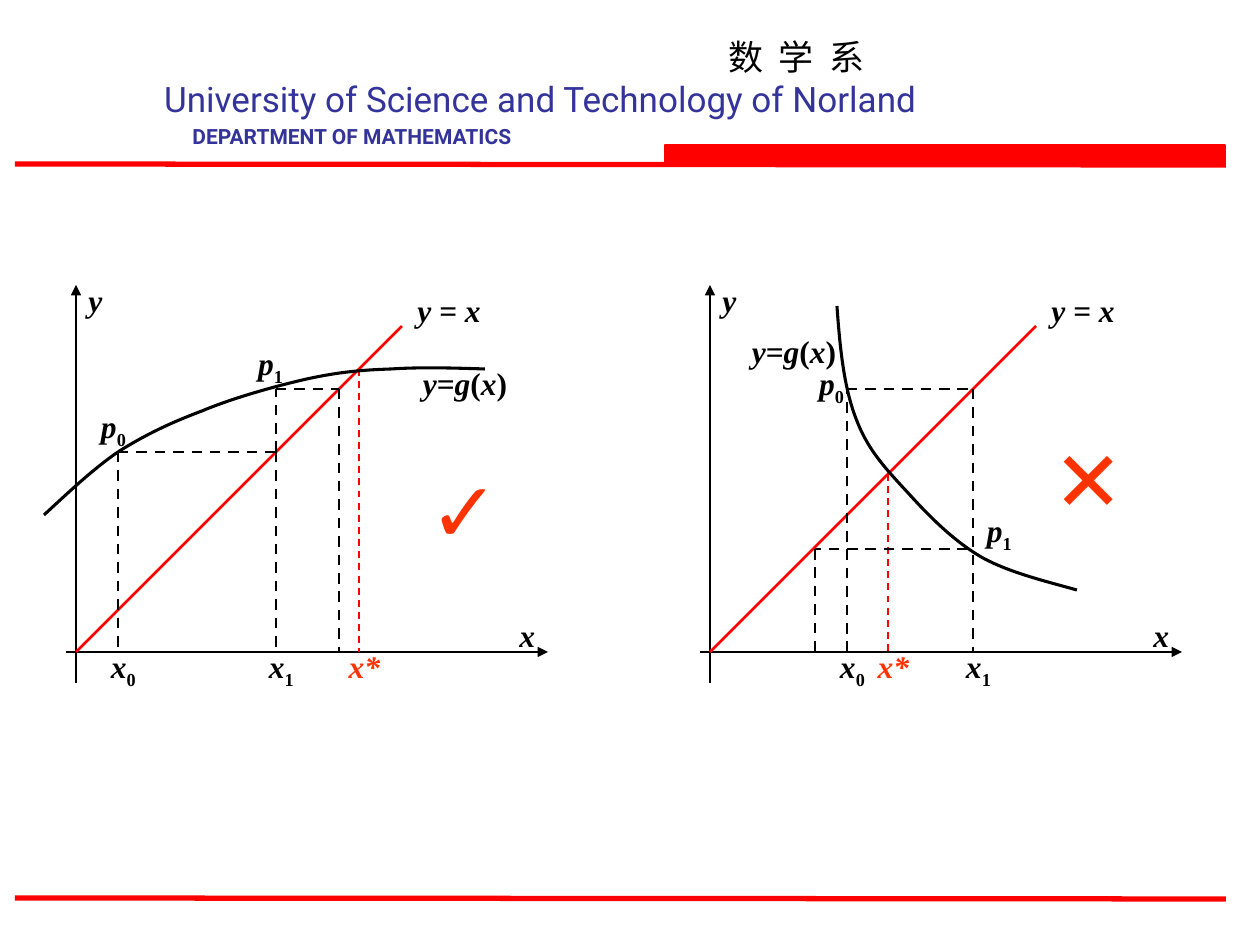
import pptx
import pptx.dml.color
import pptx.enum.dml
import pptx.enum.shapes
import pptx.enum.text
import pptx.oxml
import pptx.oxml.ns
import pptx.util

SCALE = 914400 / 126
RED, BLACK, BLUE, ORANGE = "FF0000", "000000", "333399", "FF3300"
SERIF = "Times New Roman"
ALIGN = pptx.enum.text.PP_ALIGN
BASE = 367


def px(length):
    """Turn a length in px into EMU."""
    return pptx.util.Emu(round(length * SCALE))


def colour(value):
    """Turn a hex string into a colour."""
    return pptx.dml.color.RGBColor.from_string(value)


def add_child(parent, tag):
    """Append an empty drawing element to a parent and return it."""
    child = pptx.oxml.parse_xml(f"<{tag} {pptx.oxml.ns.nsdecls('a')}/>")
    parent.append(child)
    return child


def add_line(page, box, start, end, ink=BLACK, width=1.5, dashed=False, arrow=False):
    """Draw a straight line between two points of a box."""
    left, top = box
    line = page.shapes.add_connector(
        pptx.enum.shapes.MSO_CONNECTOR.STRAIGHT,
        px(left + start[0]), px(top + start[1]), px(left + end[0]), px(top + end[1]))
    line.line.color.rgb = colour(ink)
    line.line.width = pptx.util.Pt(width)
    if dashed:
        line.line.dash_style = pptx.enum.dml.MSO_LINE.DASH
    if arrow:
        add_child(line.line._get_or_add_ln(), "a:tailEnd").set("type", "triangle")
    add_child(line._element.spPr, "a:effectLst")


def add_text(page, box, place, spans, ink=BLACK, size=18, font=SERIF, bold=True,
             align=ALIGN.CENTER, wrap=True):
    """Write spans of (text, style) in one paragraph and return its runs."""
    left, top, width, height = place
    label = page.shapes.add_textbox(px(box[0] + left), px(box[1] + top), px(width), px(height))
    label.text_frame.word_wrap = wrap
    para = label.text_frame.paragraphs[0]
    para.alignment = align
    for text, style in spans:
        span = para.add_run()
        span.text = text
        span.font.name = font
        span.font.size = pptx.util.Pt(size)
        span.font.bold = bold
        span.font.italic = style == "italic"
        span.font.color.rgb = colour(ink)
        if style == "sub":
            span.font._element.set("baseline", "-25000")
    return para.runs


def add_curve(page, box, points):
    """Draw a chain of Bézier segments from a start and triples of points."""
    places = [(px(box[0] + x), px(box[1] + y)) for x, y in points]
    builder = page.shapes.build_freeform(*places[0])
    builder.add_line_segments(places[1:], close=False)
    curve = builder.convert_to_shape()
    curve.shadow.inherit = False
    curve.fill.background()
    curve.line.color.rgb = colour(BLACK)
    curve.line.width = pptx.util.Pt(1.75)
    steps = curve._element.xpath(".//a:lnTo")
    outline = steps[0].getparent()
    for first in range(0, len(steps), 3):
        bezier = add_child(outline, "a:cubicBezTo")
        for step in steps[first:first + 3]:
            bezier.append(step[0])
            outline.remove(step)


def draw_header(page, box):
    """Place the department titles, the rule and the bar."""
    title = add_text(page, box, (641, 0, 281, 55), [("数 学 系", "")],
                     size=20, font="Noto Sans CJK SC", bold=False, wrap=False)[0]
    title.font._element.set("spc", "225")
    add_child(title.font._element, "a:ea").set("typeface", "Noto Sans CJK SC")
    add_text(page, box, (77, 42, 897, 55),
             [("University of Science and Technology of Norland", "")],
             ink=BLUE, size=20, font="Roboto", bold=False, wrap=False)
    add_text(page, box, (165, 88, 397, 38), [("DEPARTMENT OF MATHEMATICS", "")],
             ink=BLUE, size=12, font="Roboto", align=ALIGN.LEFT, wrap=False)
    add_line(page, box, (0, 135), (1211, 136), RED, 3)
    bar = page.shapes.add_shape(pptx.enum.shapes.MSO_SHAPE.RECTANGLE,
                                px(box[0] + 650), px(box[1] + 116), px(560), px(19))
    bar.shadow.inherit = False
    bar.fill.solid()
    bar.fill.fore_color.rgb = colour(RED)
    bar.line.color.rgb = colour(RED)
    bar.line.width = pptx.util.Pt(0.75)


def draw_axes(page, box):
    """Draw the axes and the line y = x with their labels."""
    add_line(page, box, (0, BASE), (482, BASE), width=1, arrow=True)
    add_line(page, box, (10, 398), (10, 0), width=1, arrow=True)
    add_text(page, box, (441, 325, 42, 50), [("x", "italic")], align=ALIGN.LEFT)
    add_text(page, box, (10, -10, 42, 50), [("y", "italic")], align=ALIGN.LEFT)
    add_line(page, box, (10, BASE), (336, 41), RED)
    add_text(page, box, (336, 0, 94, 50), [("y = x", "italic")])


def draw_iteration(page, box, curve, root, curve_label, ticks, points, dashes, mark):
    """Draw one fixed-point iteration graph in a box."""
    draw_axes(page, box)
    add_line(page, box, root, (root[0], BASE), RED, 1, dashed=True)
    add_text(page, box, (root[0] - 31, 356, 73, 50), [("x*", "italic")], ink=ORANGE)
    add_curve(page, box, curve)
    add_text(page, box, (*curve_label, 126, 50),
             [("y=g", "italic"), ("(", ""), ("x", "italic"), (")", "")])
    for start, end in dashes:
        add_line(page, box, start, end, dashed=True)
    for index, (tick, point) in enumerate(zip(ticks, points)):
        for name, place in (("x", (tick - 21, 356)), ("p", point)):
            add_text(page, box, (*place, 53, 55), [(name, "italic"), (str(index), "sub")])
    symbol, left, top, bold = mark
    add_text(page, box, (left, top, 126, 113), [(symbol, "")], ink=ORANGE, size=48,
             font="Arial", bold=bold)


def main():
    """Build the slide and save the deck."""
    deck = pptx.Presentation()
    deck.slide_width, deck.slide_height = px(1260), px(945)
    page = deck.slides.add_slide(deck.slide_layouts[6])
    draw_header(page, (15, 29))
    add_line(page, (15, 898), (0, 0), (1211, 1), RED, 3)
    draw_iteration(
        page, (66, 285),
        curve=[(-22, 230), (2, 208), (26, 185), (52, 167), (79, 150), (104, 138),
               (136, 126), (167, 113), (210, 101), (241, 94), (273, 87), (296, 85),
               (325, 84), (355, 82), (388, 83), (419, 84)],
        root=(293, 84), curve_label=(336, 73), ticks=(52, 210),
        points=((21, 116), (178, 53)),
        dashes=[((52, 167), (52, BASE)), ((52, 167), (210, 167)),
                ((210, 167), (210, BASE)), ((210, 167), (210, 104)),
                ((210, 104), (273, 104)), ((273, 104), (273, BASE))],
        mark=("✓", 336, 167, True))
    draw_iteration(
        page, (700, 285),
        curve=[(137, 21), (140, 63), (144, 104), (157, 136), (169, 167), (188, 186),
               (210, 210), (231, 233), (255, 257), (283, 273), (311, 288), (345, 296),
               (377, 305)],
        root=(188, 189), curve_label=(31, 41), ticks=(147, 273),
        points=((105, 73), (273, 220)),
        dashes=[((147, 104), (273, 104)), ((147, BASE), (147, 104)),
                ((273, 104), (273, BASE)), ((268, 264), (115, 264)),
                ((115, 264), (115, BASE))],
        mark=("✕", 326, 136, False))
    deck.save("out.pptx")


if __name__ == "__main__":
    main()
